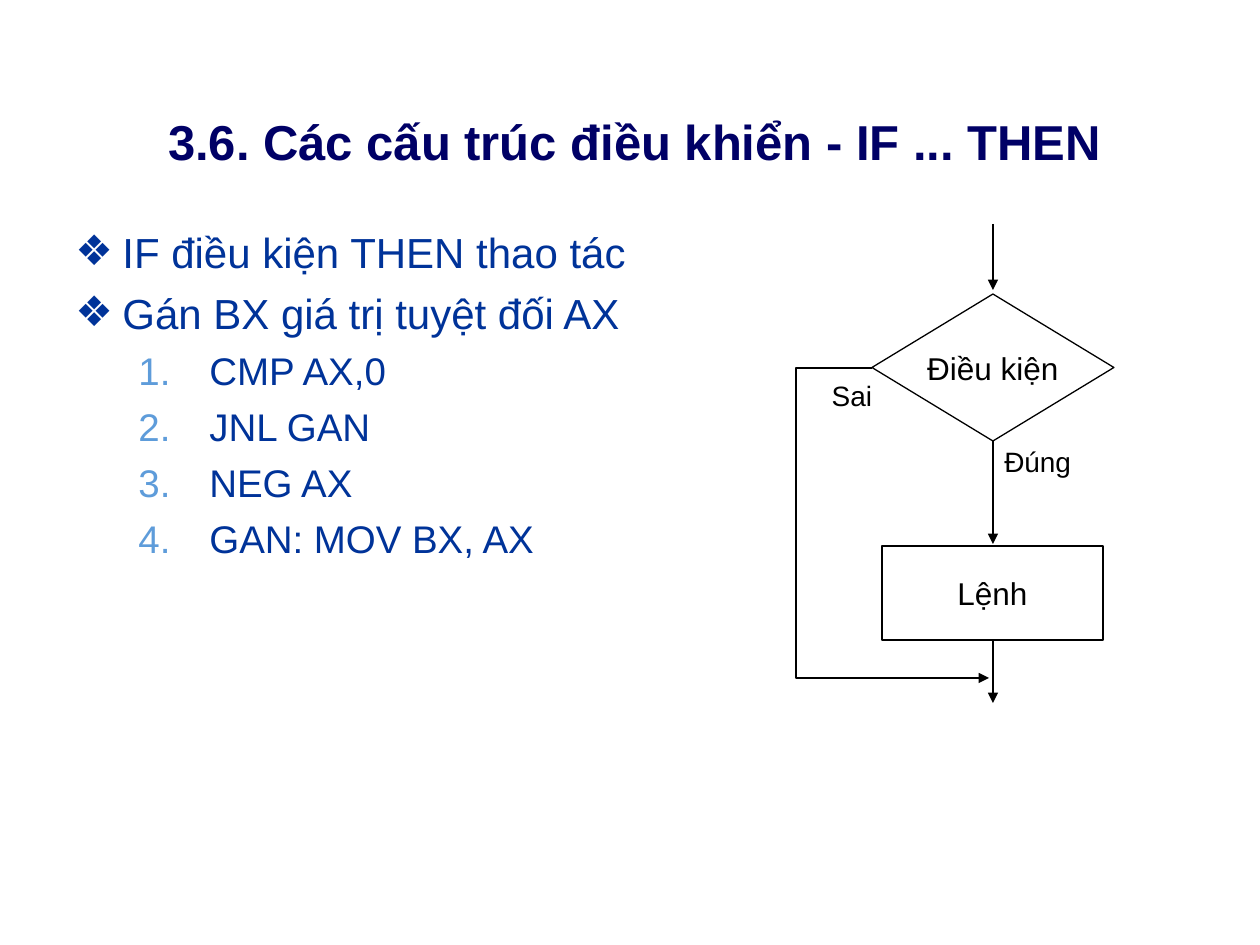
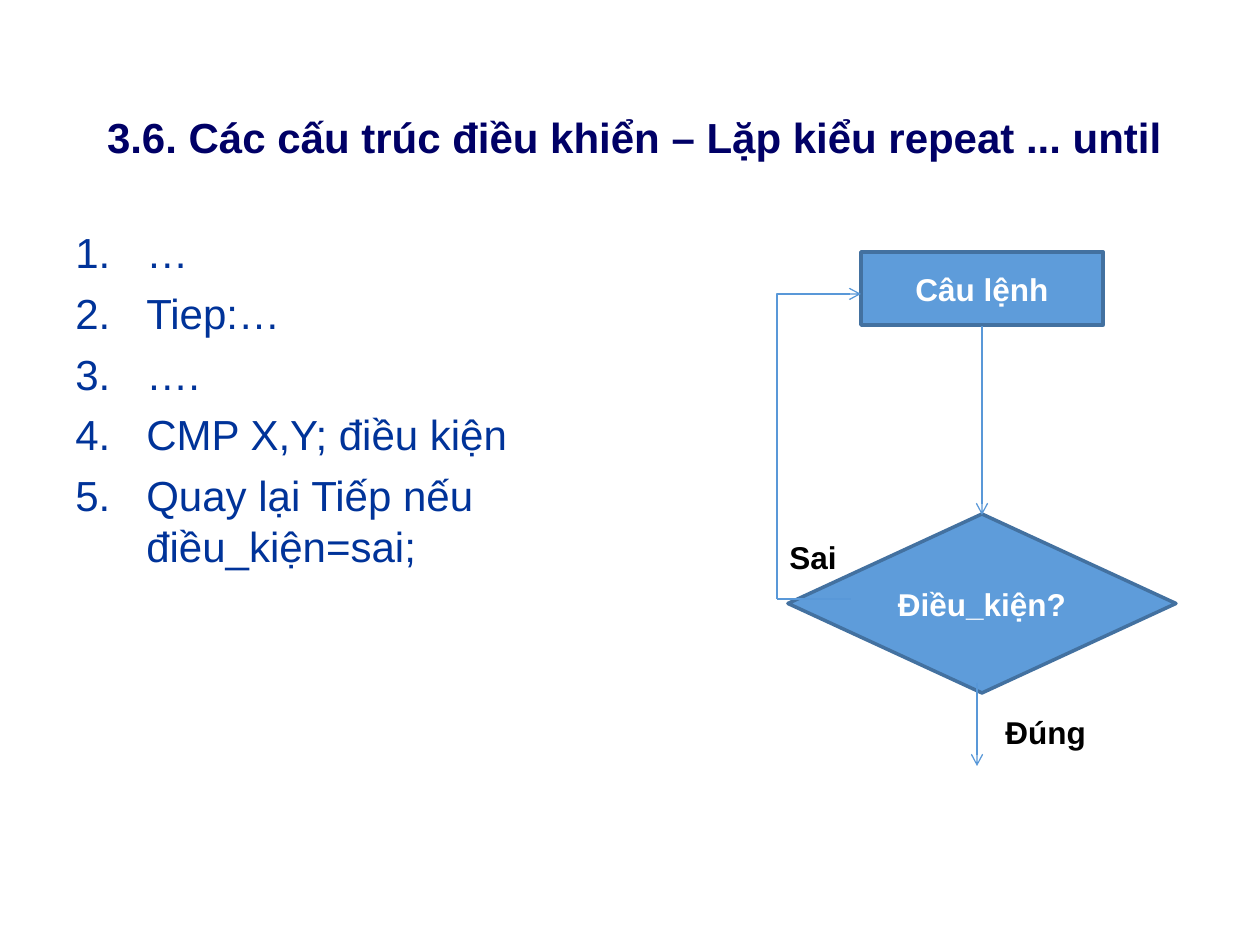
from dataclasses import dataclass

from pptx import Presentation
from pptx.dml.color import RGBColor
from pptx.enum.shapes import MSO_CONNECTOR as Link, MSO_SHAPE as Shape
from pptx.enum.text import MSO_ANCHOR as Anchor, MSO_AUTO_SIZE as AutoSize, PP_ALIGN as Align
from pptx.oxml.ns import qn
from pptx.slide import Slide
from pptx.text.text import TextFrame
from pptx.util import Emu, Pt
from lxml.etree import SubElement

# Shared look
EMU_PER_PX = 914400 / 126
FONT = "Arial"
WHITE = RGBColor(0xFF, 0xFF, 0xFF)
BLACK = RGBColor(0x00, 0x00, 0x00)
NAVY = RGBColor(0x00, 0x00, 0x66)
BLUE = RGBColor(0x00, 0x33, 0x99)
SKY = RGBColor(0x5E, 0x9C, 0xDA)
SKY_LINE = RGBColor(0x59, 0x98, 0xD8)
STEEL = RGBColor(0x43, 0x71, 0xA0)
TITLE_BOX = (31, 105, 1207, 72)
BODY_LEFT, BODY_TOP, BODY_HEIGHT = 63, 220, 624
ARROW_WIDTH = 0.74


@dataclass(frozen=True)
class ItemStyle:
    level: int
    size: float
    space_before: float
    margin: int
    hanging: int
    marker: str  # an empty marker means automatic numbering
    marker_color: RGBColor


@dataclass(frozen=True)
class ChartStyle:
    fill: RGBColor | None
    outline: RGBColor
    outline_width: float
    node_text: RGBColor
    bold: bool
    label_size: float
    arrow_color: RGBColor
    arrow_head: str


@dataclass(frozen=True)
class Node:
    kind: Shape
    box: tuple[int, int, int, int]
    text: str


@dataclass(frozen=True)
class Label:
    box: tuple[int, int, int, int]
    text: str
    align: Align = Align.LEFT


@dataclass(frozen=True)
class Arrow:
    start: tuple[int, int]
    end: tuple[int, int]
    bend_x: int | None = None  # where an elbow runs vertically
    head: bool = True


@dataclass(frozen=True)
class Lesson:
    title: str
    title_size: float
    body_width: int
    items: list[tuple[ItemStyle, str]]
    style: ChartStyle
    nodes: list[Node]
    arrows: list[Arrow]
    labels: list[Label]


def px(length: float) -> Emu:
    return Emu(round(length * EMU_PER_PX))


def write(frame: TextFrame, text: str, size: float, color: RGBColor,
          bold: bool = False, align: Align = Align.LEFT) -> None:
    paragraph = frame.paragraphs[0]
    paragraph.alignment = align
    add_run(paragraph, text, size, color, bold)


def add_run(paragraph, text: str, size: float, color: RGBColor, bold: bool = False) -> None:
    run = paragraph.add_run()
    run.text = text
    run.font.name = FONT
    run.font.size = Pt(size)
    run.font.bold = bold
    run.font.color.rgb = color


def add_frame(slide: Slide, box: tuple[int, int, int, int]) -> TextFrame:
    frame = slide.shapes.add_textbox(*map(px, box)).text_frame
    frame.word_wrap = True
    return frame


def mark_item(paragraph, style: ItemStyle) -> None:
    props = paragraph._p.get_or_add_pPr()
    props.set("marL", str(px(style.margin)))
    props.set("indent", str(-px(style.hanging)))
    color = SubElement(props, qn("a:buClr"))
    SubElement(color, qn("a:srgbClr"), val=str(style.marker_color))
    SubElement(props, qn("a:buFont"), typeface=FONT)
    if style.marker:
        SubElement(props, qn("a:buChar"), char=style.marker)
    else:
        SubElement(props, qn("a:buAutoNum"), type="arabicPeriod")


def draw_items(slide: Slide, width: int, items: list[tuple[ItemStyle, str]]) -> None:
    frame = add_frame(slide, (BODY_LEFT, BODY_TOP, width, BODY_HEIGHT))
    for index, (style, text) in enumerate(items):
        paragraph = frame.add_paragraph() if index else frame.paragraphs[0]
        paragraph.level = style.level
        paragraph.space_before = Pt(style.space_before)
        mark_item(paragraph, style)
        add_run(paragraph, text, style.size, BLUE)


def draw_node(slide: Slide, node: Node, style: ChartStyle) -> None:
    shape = slide.shapes.add_shape(node.kind, *map(px, node.box))
    shape.shadow.inherit = False
    if style.fill is None:
        shape.fill.background()
    else:
        shape.fill.solid()
        shape.fill.fore_color.rgb = style.fill
    shape.line.color.rgb = style.outline
    shape.line.width = Pt(style.outline_width)
    shape.text_frame.word_wrap = False
    shape.text_frame.vertical_anchor = Anchor.MIDDLE
    write(shape.text_frame, node.text, 18, style.node_text, style.bold, Align.CENTER)


def draw_arrow(slide: Slide, arrow: Arrow, style: ChartStyle) -> None:
    kind = Link.STRAIGHT if arrow.bend_x is None else Link.ELBOW
    link = slide.shapes.add_connector(kind, *map(px, arrow.start + arrow.end))
    link.line.color.rgb = style.arrow_color
    link.line.width = Pt(ARROW_WIDTH)
    props = link._element.spPr
    if arrow.head:
        SubElement(props.find(qn("a:ln")), qn("a:tailEnd"), type=style.arrow_head)
    SubElement(props, qn("a:effectLst"))
    if arrow.bend_x is not None:
        (x1, _), (x2, _) = arrow.start, arrow.end
        bend = round((arrow.bend_x - x1) / (x2 - x1) * 100000)
        guides = props.find(qn("a:prstGeom")).get_or_add_avLst()
        SubElement(guides, qn("a:gd"), name="adj1", fmla=f"val {bend}")


def draw_label(slide: Slide, label: Label, style: ChartStyle) -> None:
    frame = add_frame(slide, label.box)
    frame.auto_size = AutoSize.SHAPE_TO_FIT_TEXT
    write(frame, label.text, style.label_size, BLACK, style.bold, label.align)


def draw_lesson(slide: Slide, lesson: Lesson) -> None:
    write(add_frame(slide, TITLE_BOX), lesson.title, lesson.title_size, NAVY, True, Align.CENTER)
    draw_items(slide, lesson.body_width, lesson.items)
    for node in lesson.nodes:
        draw_node(slide, node, lesson.style)
    for arrow in lesson.arrows:
        draw_arrow(slide, arrow, lesson.style)
    for label in lesson.labels:
        draw_label(slide, label, lesson.style)


TOPIC = ItemStyle(0, 24, 6, 47, 47, "❖", BLUE)
CODE_LINE = ItemStyle(1, 22, 5.5, 134, 71, "", SKY)
STEP = ItemStyle(0, 24, 6, 71, 71, "", BLUE)

OUTLINED = ChartStyle(None, BLACK, 0.74, BLACK, False, 16, BLACK, "triangle")
FILLED = ChartStyle(SKY, STEEL, 2, WHITE, True, 18, SKY_LINE, "arrow")

IF_AXIS = 993
REPEAT_AXIS = 982
RETURN_X, RETURN_Y = 777, 599

LESSONS = [
    # IF ... THEN
    Lesson(
        "3.6. Các cấu trúc điều khiển - IF ... THEN", 28, 599,
        [(TOPIC, "IF điều kiện THEN thao tác"),
         (TOPIC, "Gán BX giá trị tuyệt đối AX"),
         (CODE_LINE, "CMP AX,0"),
         (CODE_LINE, "JNL GAN"),
         (CODE_LINE, "NEG AX"),
         (CODE_LINE, "GAN: MOV BX, AX")],
        OUTLINED,
        [Node(Shape.DIAMOND, (872, 294, 242, 147), "Điều kiện"),
         Node(Shape.RECTANGLE, (882, 546, 221, 94), "Lệnh")],
        [Arrow((IF_AXIS, 224), (IF_AXIS, 290)),
         Arrow((IF_AXIS, 441), (IF_AXIS, 544)),
         Arrow((IF_AXIS, 641), (IF_AXIS, 703)),
         Arrow((872, 368), (989, 678), bend_x=796)],
        [Label((794, 372, 116, 47), "Sai", Align.CENTER),
         Label((992, 438, 116, 47), "Đúng")],
    ),
    # REPEAT ... UNTIL
    Lesson(
        "3.6. Các cấu trúc điều khiển – Lặp kiểu repeat ... until", 24, 620,
        [(STEP, "…"),
         (STEP, "Tiep:…"),
         (STEP, "…."),
         (STEP, "CMP X,Y; điều kiện"),
         (STEP, "Quay lại Tiếp nếu điều_kiện=sai;")],
        FILLED,
        [Node(Shape.FLOWCHART_PROCESS, (861, 252, 242, 73), "Câu lệnh"),
         Node(Shape.FLOWCHART_DECISION, (788, 514, 388, 179), "Điều_kiện?")],
        [Arrow((REPEAT_AXIS, 326), (REPEAT_AXIS, 515)),
         Arrow((RETURN_X, RETURN_Y), (861, 294), bend_x=RETURN_X),
         Arrow((851, RETURN_Y), (RETURN_X, RETURN_Y), head=False),
         Arrow((977, 683), (977, 766))],
        [Label((993, 707, 112, 50), "Đúng"),
         Label((777, 532, 84, 50), "Sai")],
    ),
]

deck = Presentation()
deck.slide_width, deck.slide_height = px(1260), px(945)
blank = deck.slide_layouts[6]
for lesson in LESSONS:
    draw_lesson(deck.slides.add_slide(blank), lesson)
deck.save("out.pptx")
